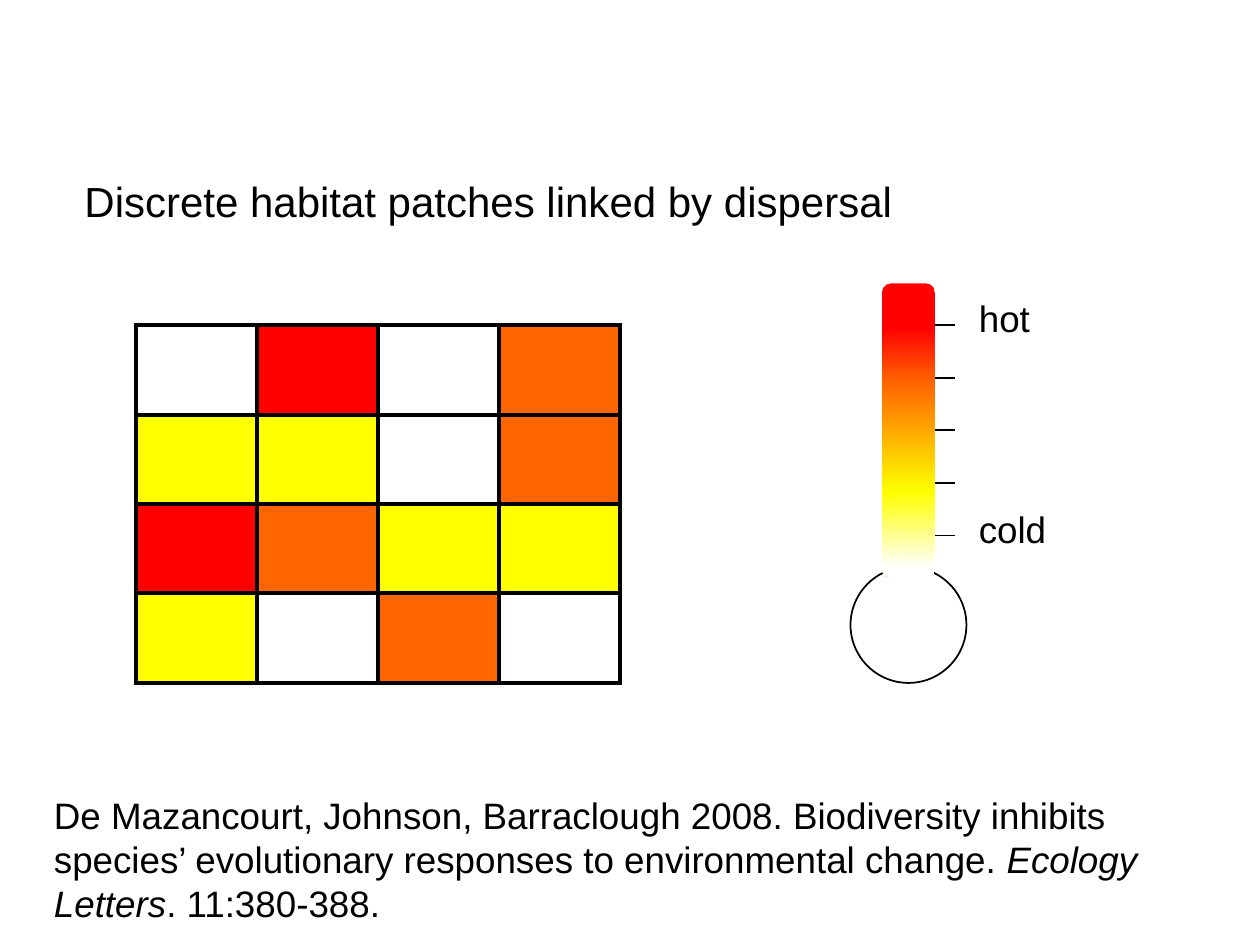
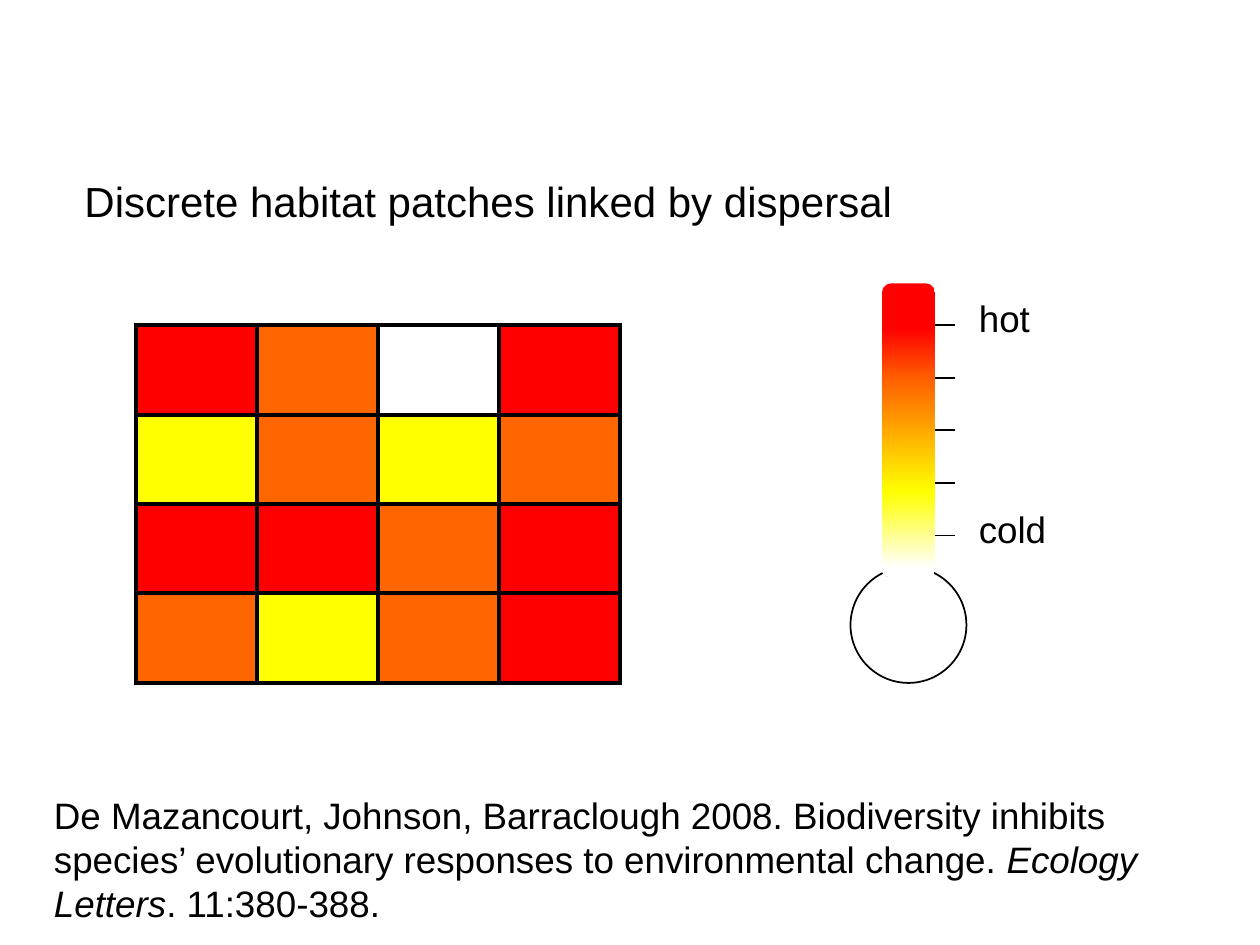
import pptx
import pptx.dml.color
import pptx.enum.dml
import pptx.enum.shapes
import pptx.enum.text
import pptx.oxml
import pptx.oxml.ns
import pptx.util

Inches = pptx.util.Inches
Pt = pptx.util.Pt
RGBColor = pptx.dml.color.RGBColor
SHAPE = pptx.enum.shapes.MSO_SHAPE
qn = pptx.oxml.ns.qn

# Temperature colours and ink
WHITE = RGBColor(0xFF, 0xFF, 0xFF)
YELLOW = RGBColor(0xFF, 0xFF, 0x00)
ORANGE = RGBColor(0xFF, 0x66, 0x00)
RED = RGBColor(0xFF, 0x00, 0x00)
BLACK = RGBColor(0x00, 0x00, 0x00)
PATCH_COLOURS = {"W": WHITE, "Y": YELLOW, "O": ORANGE, "R": RED}
GRADIENT = [(15, RED), (34, ORANGE), (71, YELLOW), (97, WHITE)]

FONT = "Arial"
TITLE = "Discrete habitat patches linked by dispersal"
CITATION = [
    ("De Mazancourt, Johnson, Barraclough 2008. Biodiversity inhibits "
     "species’ evolutionary responses to environmental change. ", False),
    ("Ecology Letters", True),
    (". 11:380-388.", False),
]

# One string per row of habitat patches, one grid per slide
LANDSCAPES = [
    ["WRWO", "YYWO", "ROYY", "YWOW"],
    ["ROWR", "YOYO", "RROR", "OYOR"],
]


def write_text(box, spans, size, wrap):
    """Fill a box with one left-aligned paragraph of (text, italic) spans."""
    frame = box.text_frame
    settings = {
        "word_wrap": wrap,
        "vertical_anchor": pptx.enum.text.MSO_ANCHOR.TOP,
        "auto_size": pptx.enum.text.MSO_AUTO_SIZE.SHAPE_TO_FIT_TEXT,
    }
    for name, value in settings.items():
        setattr(frame, name, value)
    para = frame.paragraphs[0]
    para.alignment = pptx.enum.text.PP_ALIGN.LEFT
    for text, italic in spans:
        span = para.add_run()
        span.text = text
        font_format = {"name": FONT, "size": Pt(size), "italic": italic}
        for name, value in font_format.items():
            setattr(span.font, name, value)
        span.font.color.rgb = BLACK


def add_title(page):
    title = page.shapes.title
    place = {"left": 0.57, "top": 1.34, "width": 6.68, "height": 0.5}
    for name, value in place.items():
        setattr(title, name, Inches(value))
    write_text(title, [(TITLE, False)], 24, wrap=False)


def add_text(page, left, top, width, height, spans, wrap=False):
    box = page.shapes.add_textbox(
        Inches(left), Inches(top), Inches(width), Inches(height))
    write_text(box, spans, 21, wrap)


def add_outlined(page, kind, left, top, width, height, fill, line_width):
    shape = page.shapes.add_shape(
        kind, Inches(left), Inches(top), Inches(width), Inches(height))
    shape.shadow.inherit = False
    shape.fill.solid()
    shape.fill.fore_color.rgb = fill
    shape.line.color.rgb = BLACK
    shape.line.width = Pt(line_width)
    # Square corners on the outline
    outline = shape._element.spPr.find(qn("a:ln"))
    outline.append(outline.makeelement(qn("a:miter"), {"lim": "800000"}))


def add_patch_grid(page, rows):
    left, top, width, height = 1.08, 2.58, 0.96, 0.71
    for row, codes in enumerate(rows):
        for column, code in enumerate(codes):
            add_outlined(page, SHAPE.RECTANGLE, left + column * width,
                         top + row * height, width, height,
                         PATCH_COLOURS[code], 2.25)


def add_gradient_tube(page):
    tube = page.shapes.add_shape(
        SHAPE.ROUNDED_RECTANGLE,
        Inches(7), Inches(2.25), Inches(0.42), Inches(2.33))
    tube.shadow.inherit = False
    tube.line.fill.background()
    tube.fill.gradient()
    tube.fill.gradient_angle = 270
    # Replace the preset stops with the temperature scale
    stops = tube._element.spPr.find(".//" + qn("a:gsLst"))
    for stop in list(stops):
        stops.remove(stop)
    for percent, colour in GRADIENT:
        stop = stops.makeelement(qn("a:gs"), {"pos": str(percent * 1000)})
        stop.append(stop.makeelement(qn("a:srgbClr"), {"val": str(colour)}))
        stops.append(stop)


def add_tick(page, top):
    tick = page.shapes.add_connector(
        pptx.enum.shapes.MSO_CONNECTOR.STRAIGHT,
        Inches(7.42), Inches(top), Inches(7.58), Inches(top))
    tick.line.color.rgb = BLACK
    tick.line.width = Pt(1)
    properties = tick._element.spPr
    properties.append(properties.makeelement(qn("a:effectLst"), {}))


def add_thermometer(page):
    add_outlined(page, SHAPE.OVAL, 6.75, 4.5, 0.92, 0.92, WHITE, 1)
    add_gradient_tube(page)
    for index in range(5):
        add_tick(page, 2.58 + index * 1.67 / 4)
    add_text(page, 7.67, 2.3, 0.61, 0.45, [("hot", False)])
    add_text(page, 7.67, 3.97, 0.74, 0.45, [("cold", False)])


def add_landscape_slide(deck, rows):
    page = deck.slides.add_slide(deck.slide_layouts[5])
    add_title(page)
    add_text(page, 0.33, 6.24, 9.6, 1.56, CITATION, wrap=True)
    add_patch_grid(page, rows)
    add_thermometer(page)


def main():
    deck = pptx.Presentation()
    deck.slide_width = Inches(10)
    deck.slide_height = Inches(7.5)
    for rows in LANDSCAPES:
        add_landscape_slide(deck, rows)
    deck.save("out.pptx")


if __name__ == "__main__":
    main()
